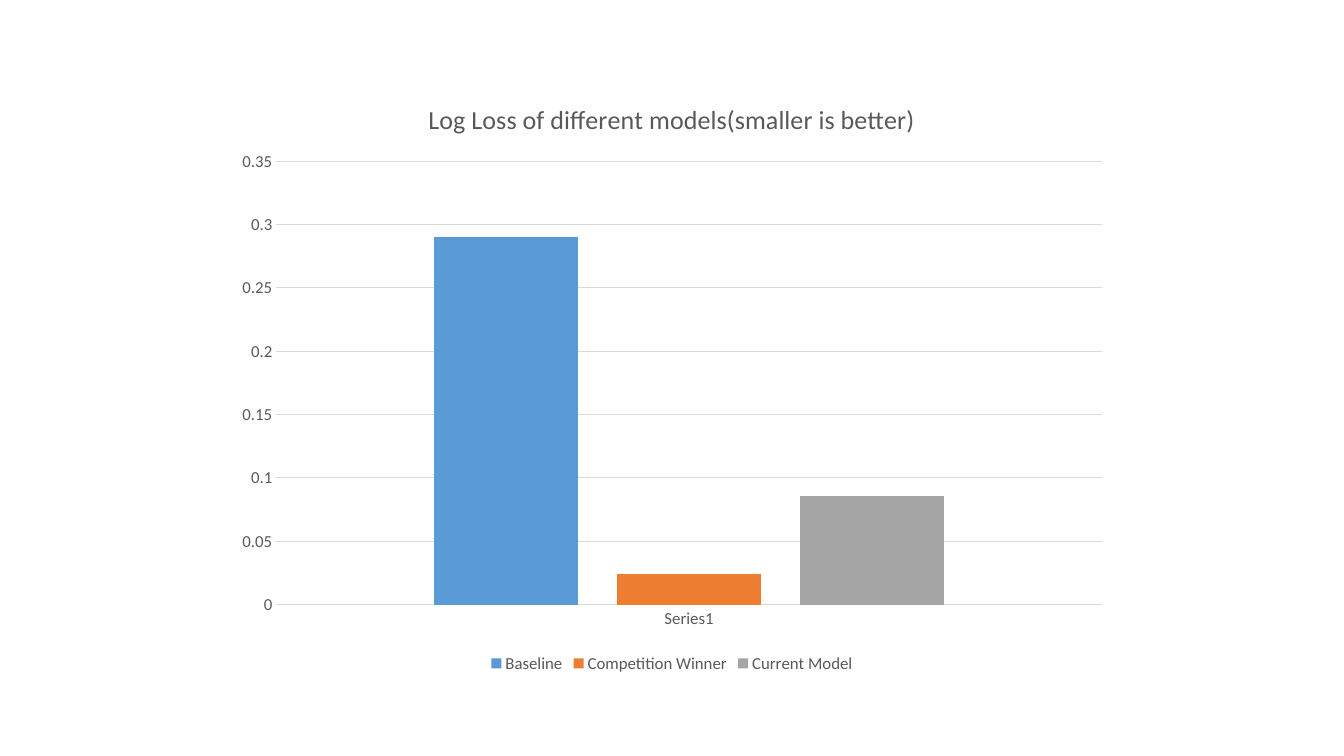
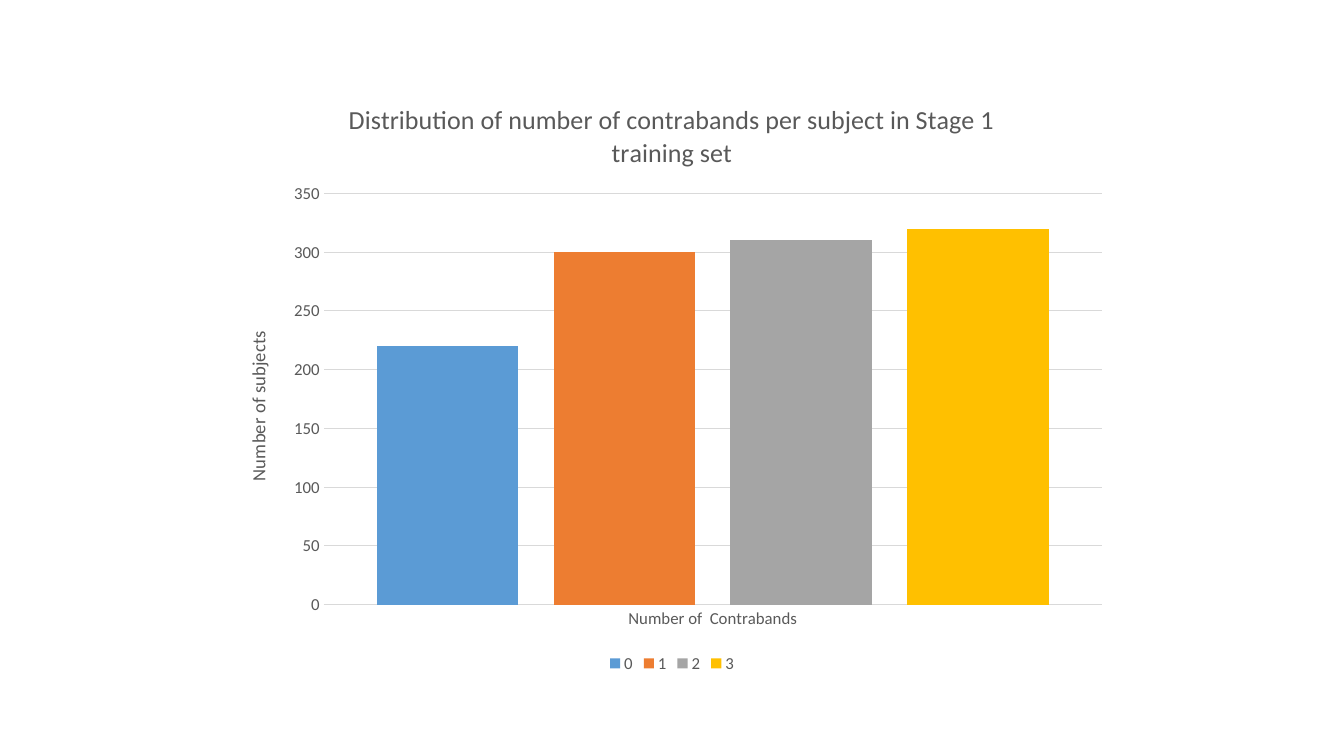
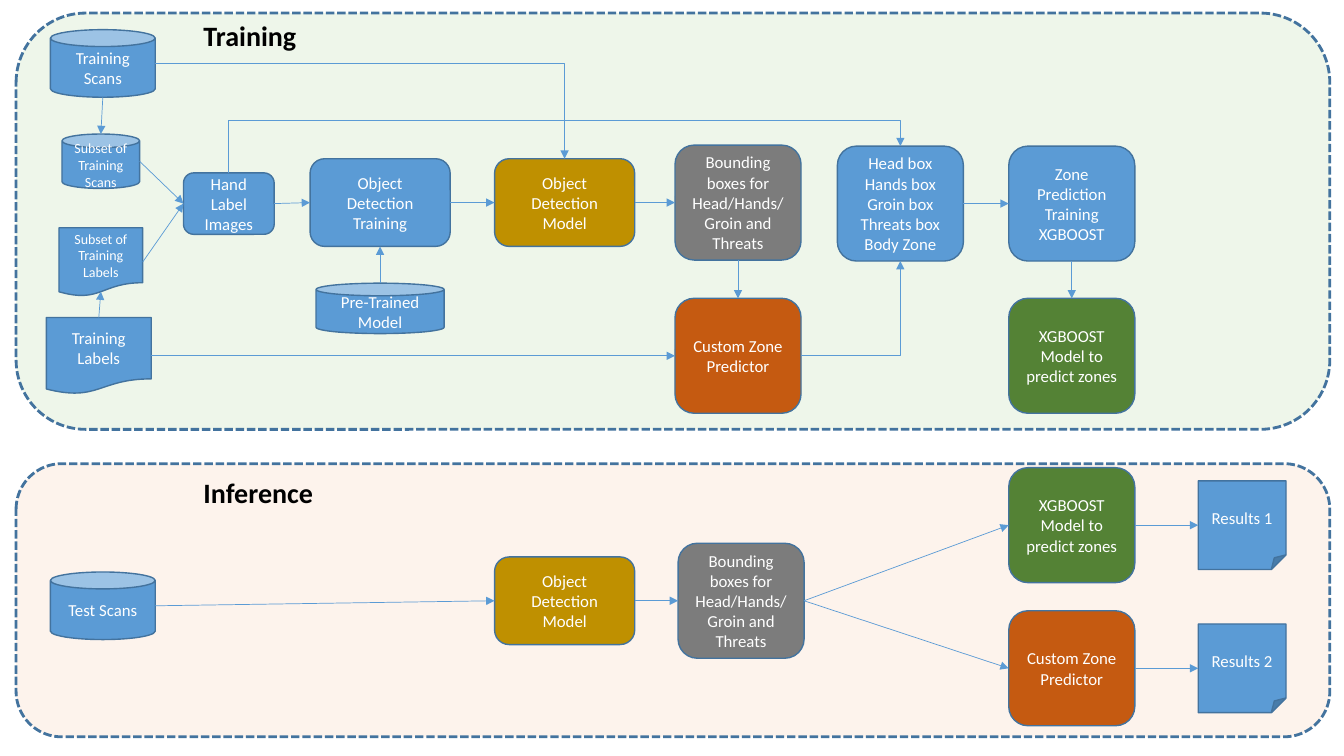
"""Build two model charts and the training and inference flow diagram."""
import pptx
import pptx.chart.data
import pptx.dml.color
import pptx.enum.chart
import pptx.enum.dml
import pptx.enum.shapes
import pptx.enum.text
import pptx.oxml
import pptx.oxml.ns
import pptx.util

FONT = "Calibri"
COLORS = {
    "blue": "5B9BD5", "orange": "ED7D31", "gray": "A5A5A5", "gold": "FFC000",
    "outline": "43739E", "ochre": "BF9000", "rust": "C55A11", "green": "548235",
    "slate": "7C7C7C", "mint": "C5E0B4", "peach": "F8CBAD",
    "text": "595959", "grid": "D9D9D9", "white": "FFFFFF", "black": "000000",
}
PALETTE = {name: pptx.dml.color.RGBColor.from_string(code) for name, code in COLORS.items()}
SHAPES = pptx.enum.shapes.MSO_SHAPE
CENTER = pptx.enum.text.PP_ALIGN.CENTER
qn = pptx.oxml.ns.qn

deck = pptx.Presentation()
deck.slide_width = pptx.util.Inches(13.33)
deck.slide_height = pptx.util.Inches(7.5)
blank = deck.slide_layouts[6]


def write(frame, text, size=12, color="white", bold=False, align=None, anchor=None):
    """Put one formatted paragraph into a text frame."""
    paragraph = frame.paragraphs[0]
    paragraph.alignment = align
    run = paragraph.add_run()
    run.text = text
    run.font.name, run.font.size, run.font.bold = FONT, pptx.util.Pt(size), bold
    run.font.color.rgb = PALETTE[color]
    if anchor is not None:
        frame.vertical_anchor = anchor
        frame.word_wrap = True


CHART_BOX = (2.22, 0.79, 8.89, 5.93)
PLOT_RIGHT, PLOT_BOTTOM = 10.93, 6.0
charts = [
    {"title": "Log Loss of different models(smaller is better)", "category": "Series1",
     "values": {"Baseline": 0.29, "Competition Winner": 0.024, "Current Model": 0.086},
     "axis": None, "top": 0.35, "step": 0.05, "gap": 219, "overlap": -27, "corner": (2.74, 1.6)},
    {"title": "Distribution of number of contrabands per subject in Stage 1 training set",
     "category": "Number of  Contrabands",
     "values": {"0": 220, "1": 300, "2": 310, "3": 320},
     "axis": "Number of subjects", "top": 350, "step": 50, "gap": 75, "overlap": -25,
     "corner": (3.21, 1.92)},
]
for topic in charts:
    data = pptx.chart.data.CategoryChartData()
    data.categories = [topic["category"]]
    for name, value in topic["values"].items():
        data.add_series(name, [value])
    chart = deck.slides.add_slide(blank).shapes.add_chart(
        pptx.enum.chart.XL_CHART_TYPE.COLUMN_CLUSTERED,
        *map(pptx.util.Inches, CHART_BOX), data).chart
    chart.font.name, chart.font.size = FONT, pptx.util.Pt(10)
    chart.has_title = True
    write(chart.chart_title.text_frame, topic["title"], size=18.6, color="text")
    chart.chart_title.text_frame._txBody.find(qn("a:bodyPr")).set("rot", "0")
    chart.chart_title.format.fill.background()
    chart.chart_title.format.line.fill.background()

    left, top, wide, tall = CHART_BOX
    plot_left, plot_top = topic["corner"]
    shares = {"x": (plot_left - left) / wide, "y": (plot_top - top) / tall,
              "w": (PLOT_RIGHT - plot_left) / wide, "h": (PLOT_BOTTOM - plot_top) / tall}
    area = chart._chartSpace.chart.plotArea
    for old in area.findall(qn("c:layout")):
        area.remove(old)
    layout = area.makeelement(qn("c:layout"), {})
    area.insert(0, layout)
    manual = layout.makeelement(qn("c:manualLayout"), {})
    layout.append(manual)
    settings = {"layoutTarget": "inner", "xMode": "edge", "yMode": "edge", **shares}
    for tag, value in settings.items():
        manual.append(manual.makeelement(qn(f"c:{tag}"), {"val": str(value)}))

    bars = chart.plots[0]
    bars.gap_width, bars.overlap, bars.vary_by_categories = topic["gap"], topic["overlap"], False
    for series, color in zip(bars.series, ("blue", "orange", "gray", "gold")):
        series.format.fill.solid()
        series.format.fill.fore_color.rgb = PALETTE[color]

    chart.has_legend = True
    chart.legend.position = pptx.enum.chart.XL_LEGEND_POSITION.BOTTOM
    chart.legend.include_in_layout = False
    for part in (chart.legend, chart.category_axis.tick_labels, chart.value_axis.tick_labels):
        part.font.name, part.font.size = FONT, pptx.util.Pt(12)
        part.font.color.rgb = PALETTE["text"]
    for axis in (chart.category_axis, chart.value_axis):
        axis.major_tick_mark = axis.minor_tick_mark = pptx.enum.chart.XL_TICK_MARK.NONE
    scale = chart.value_axis
    scale.minimum_scale, scale.maximum_scale, scale.major_unit = 0, topic["top"], topic["step"]
    scale.format.line.fill.background()
    for rule in (chart.category_axis.format.line, scale.major_gridlines.format.line):
        rule.color.rgb = PALETTE["grid"]
        rule.width = pptx.util.Pt(0.75)
    if topic["axis"]:
        caption = scale.axis_title.text_frame
        write(caption, topic["axis"], size=13.3, color="text")
        caption._txBody.find(qn("a:bodyPr")).set("rot", "-5400000")

flow = deck.slides.add_slide(blank).shapes

for top, tall, tint, opacity in ((0.13, 4.13, "mint", 28), (4.6, 2.71, "peach", 22)):
    panel = flow.add_shape(SHAPES.ROUNDED_RECTANGLE, *map(pptx.util.Inches, (0.16, top, 13.03, tall)))
    panel.shadow.inherit = False
    panel.fill.solid()
    panel.fill.fore_color.rgb = PALETTE[tint]
    tint_xml = panel._element.spPr.find(qn("a:solidFill"))[0]
    tint_xml.append(tint_xml.makeelement(qn("a:alpha"), {"val": str(opacity * 1000)}))
    panel.line.color.rgb = PALETTE["outline"]
    panel.line.width = pptx.util.Pt(2)
    panel.line.dash_style = pptx.enum.dml.MSO_LINE.SQUARE_DOT
    panel.line._ln.find(qn("a:prstDash")).set("val", "sysDash")

COLUMNS = {"labels": 0.98, "subset": 1.0, "scans": 1.02, "hand": 2.27, "learn": 3.77, "detect": 5.6,
           "boxes": 7.32, "boxes_test": 7.35, "features": 8.93, "zones": 10.63, "results": 12.32}
ROWS = {"scans": 0.63, "subset": 1.6, "steps": 2.01, "main": 2.02, "notes": 2.6, "pretrained": 3.06,
        "lower": 3.53, "result1": 5.21, "test": 5.96, "test_scans": 6.01, "result2": 6.63}
SIZES = {"store": (1.04, 0.67), "small_store": (0.77, 0.54), "wide_store": (1.27, 0.5),
         "document": (1.04, 0.76), "small_document": (0.83, 0.68), "step": (1.39, 0.87),
         "small_step": (0.9, 0.61), "block": (1.25, 1.14), "result": (0.87, 0.88)}
OUTLINES = {"store": SHAPES.CAN, "document": SHAPES.FLOWCHART_DOCUMENT, "result": SHAPES.FOLDED_CORNER}
DETECTOR = "Object Detection Model"
BOUNDING = "Bounding boxes for Head/Hands/Groin and Threats"
BOOSTED = "XGBOOST Model to predict zones"
PREDICTOR = "Custom Zone Predictor"
stages = [
    ("training", "learn", "steps", "step", "blue", "Object Detection Training"),
    ("scans", "scans", "scans", "store", "blue", "Training Scans"),
    ("hand", "hand", "main", "small_step", "blue", "Hand Label Images"),
    ("predictor", "boxes", "lower", "block", "rust", PREDICTOR),
    ("labels", "labels", "lower", "document", "blue", "Training Labels"),
    ("zones", "zones", "main", "block", "blue", "Zone Prediction Training XGBOOST"),
    ("test_scans", "scans", "test_scans", "store", "blue", "Test Scans"),
    ("detector", "detect", "steps", "step", "ochre", DETECTOR),
    ("boosted", "zones", "lower", "block", "green", BOOSTED),
    ("scan_subset", "subset", "subset", "small_store", "blue", "Subset of Training Scans"),
    ("label_subset", "subset", "notes", "small_document", "blue", "Subset of Training Labels"),
    ("bounding", "boxes", "steps", "block", "slate", BOUNDING),
    ("features", "features", "main", "block", "blue",
     "Head box Hands box Groin box Threats box Body Zone"),
    ("test_detector", "detect", "test", "step", "ochre", DETECTOR),
    ("test_bounding", "boxes_test", "test", "block", "slate", BOUNDING),
    ("test_boosted", "zones", "result1", "block", "green", BOOSTED),
    ("test_predictor", "zones", "result2", "block", "rust", PREDICTOR),
    ("result1", "results", "result1", "result", "blue", "Results 1"),
    ("result2", "results", "result2", "result", "blue", "Results 2"),
    ("pretrained", "learn", "pretrained", "wide_store", "blue", "Pre-Trained Model"),
]
nodes = {}
for key, column, row, size, color, label in stages:
    wide, tall = SIZES[size]
    outline = OUTLINES.get(size.split("_")[-1], SHAPES.ROUNDED_RECTANGLE)
    node = flow.add_shape(outline, *map(pptx.util.Inches, (
        COLUMNS[column] - wide / 2, ROWS[row] - tall / 2, wide, tall)))
    node.shadow.inherit = False
    node.fill.solid()
    node.fill.fore_color.rgb = PALETTE[color]
    node.line.color.rgb = PALETTE["outline"]
    node.line.width = pptx.util.Pt(1)
    write(node.text_frame, label, size=10 if label.startswith("Subset") else 12,
          align=CENTER, anchor=pptx.enum.text.MSO_ANCHOR.MIDDLE)
    nodes[key] = node

SIDES = {"top": (0.5, 0), "left": (0, 0.5), "bottom": (0.5, 1), "right": (1, 0.5)}
BYPASS = pptx.util.Inches(1.19)


def link(start, start_side, end, end_side, bend=None):
    """Join two nodes with a straight arrow, a corner or a bypass above both."""
    ends, sites = [], []
    for key, side in ((start, start_side), (end, end_side)):
        node, (across, down) = nodes[key], SIDES[side]
        if side == "bottom" and node.auto_shape_type == SHAPES.FLOWCHART_DOCUMENT:
            down = 0.93
        ends += [int(node.left + across * node.width), int(node.top + down * node.height)]
        sites.append(list(SIDES).index(side) + (node.auto_shape_type == SHAPES.CAN))
    x1, y1, x2, y2 = ends
    if bend == "bypass":
        mid_x, mid_y, rise, run = (x1 + x2) / 2, (y1 + y2) / 2, y1 - y2, x2 - x1
        ends = [int(mid_x + rise / 2), int(mid_y + run / 2), int(mid_x - rise / 2), int(mid_y - run / 2)]
    types = pptx.enum.shapes.MSO_CONNECTOR
    arrow = flow.add_connector(types.ELBOW if bend else types.STRAIGHT, *ends)
    arrow._connect_begin_to(nodes[start], sites[0])
    arrow._connect_end_to(nodes[end], sites[1])
    arrow.line.color.rgb = PALETTE["blue"]
    arrow.line.width = pptx.util.Pt(0.5)
    form = arrow._element.spPr
    line = form.find(qn("a:ln"))
    line.append(line.makeelement(qn("a:tailEnd"), {"type": "triangle"}))
    form.append(form.makeelement(qn("a:effectLst"), {}))
    geometry = form.find(qn("a:prstGeom"))
    if bend == "corner":
        geometry.set("prst", "bentConnector2")
    elif bend == "bypass":
        form.find(qn("a:xfrm")).set("rot", "5400000")
        share = round((y1 - BYPASS) / (y1 - y2) * 100000)
        guide = geometry.makeelement(qn("a:gd"), {"name": "adj1", "fmla": f"val {share}"})
        geometry.find(qn("a:avLst")).append(guide)


for route in [
    ("scans", "bottom", "scan_subset", "top"),
    ("labels", "top", "label_subset", "bottom"),
    ("scan_subset", "right", "hand", "left"),
    ("label_subset", "right", "hand", "left"),
    ("hand", "right", "training", "left"),
    ("training", "right", "detector", "left"),
    ("detector", "right", "bounding", "left"),
    ("bounding", "bottom", "predictor", "top"),
    ("labels", "right", "predictor", "left"),
    ("features", "right", "zones", "left"),
    ("zones", "bottom", "boosted", "top"),
    ("predictor", "right", "features", "bottom", "corner"),
    ("hand", "top", "features", "top", "bypass"),
    ("scans", "right", "detector", "top", "corner"),
    ("test_scans", "right", "test_detector", "left"),
    ("test_detector", "right", "test_bounding", "left"),
    ("test_bounding", "right", "test_boosted", "left"),
    ("test_bounding", "right", "test_predictor", "left"),
    ("test_boosted", "right", "result1", "left"),
    ("test_predictor", "right", "result2", "left"),
    ("pretrained", "top", "training", "bottom"),
]:
    link(*route)

for phase, top in (("Training", 0.13), ("Inference", 4.67)):
    heading = flow.add_textbox(*map(pptx.util.Inches, (1.92, top, 3.34, 0.44))).text_frame
    heading.auto_size = pptx.enum.text.MSO_AUTO_SIZE.SHAPE_TO_FIT_TEXT
    write(heading, phase, size=20, color="black", bold=True, anchor=pptx.enum.text.MSO_ANCHOR.TOP)

deck.save("out.pptx")
